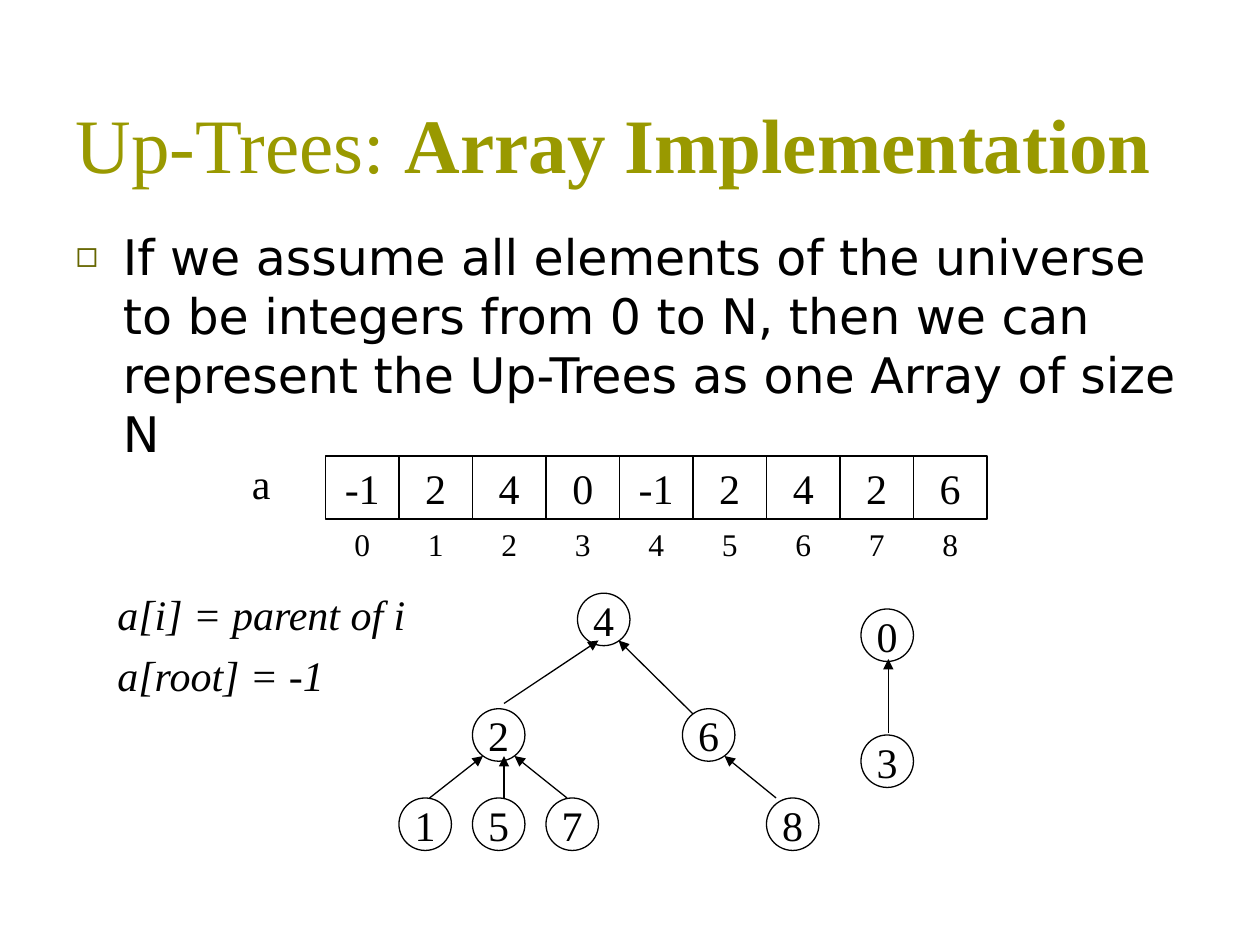
from lxml import etree
from pptx import Presentation
from pptx.dml.color import RGBColor
from pptx.enum.shapes import MSO_CONNECTOR, MSO_SHAPE
from pptx.enum.text import MSO_ANCHOR, MSO_AUTO_SIZE, PP_ALIGN
from pptx.oxml.ns import qn
from pptx.util import Pt

RECTANGLE, OVAL = MSO_SHAPE.RECTANGLE, MSO_SHAPE.OVAL
STRAIGHT = MSO_CONNECTOR.STRAIGHT
TOP, MIDDLE, BOTTOM = MSO_ANCHOR.TOP, MSO_ANCHOR.MIDDLE, MSO_ANCHOR.BOTTOM
LEFT, CENTER = PP_ALIGN.LEFT, PP_ALIGN.CENTER
FIXED = MSO_AUTO_SIZE.NONE

PARENTS = [-1, 2, 4, 0, -1, 2, 4, 2, 6]
CELL_WIDTH, CELL_HEIGHT = 42, 36
ARRAY_LEFT, ARRAY_TOP = 186, 260.6
NODE_SIZE = 30

LARGE_TREE_NODES = {
    4: (330, 339), 2: (270, 405), 6: (390, 405),
    1: (228, 456), 5: (270, 456), 7: (312, 456), 8: (438, 456),
}
LARGE_TREE_LINKS = [
    (245.5, 456, 276, 432), (324, 456, 294, 432), (288, 456, 288, 432),
    (288, 402, 342, 366), (443.5, 456, 414, 432), (396, 408, 353.5, 366),
]
SMALL_TREE_NODES = {3: (492, 420), 0: (492, 348)}
SMALL_TREE_LINKS = [(507.6, 419, 507.6, 376.6)]


def color(value):
    return RGBColor.from_string(value)


class UpTreeSlide:
    serif = "Times New Roman"
    sans = "DejaVu Sans"
    ink = "000000"
    accent = "999900"
    bullet_color = "666600"
    line_width = 0.75

    def __init__(self, slide):
        self.slide = slide

    def place(self, shape, left, top, width, height):
        shape.left, shape.top = Pt(left), Pt(top)
        shape.width, shape.height = Pt(width), Pt(height)

    def format_font(self, run, size, name=serif, hue=ink, italic=False):
        run.font.size = Pt(size)
        run.font.name = name
        run.font.color.rgb = color(hue)
        run.font.italic = italic

    def set_text(self, shape, text, size, align=LEFT, anchor=TOP, wrap=True, italic=False):
        frame = shape.text_frame
        frame.text = text
        frame.word_wrap = wrap
        frame.auto_size = FIXED
        frame.vertical_anchor = anchor
        for paragraph in frame.paragraphs:
            paragraph.alignment = align
            for run in paragraph.runs:
                self.format_font(run, size, italic=italic)
        return frame

    def indent(self, paragraph, hanging):
        properties = paragraph._p.get_or_add_pPr()
        properties.set("marL", str(Pt(hanging)))
        properties.set("indent", str(Pt(-hanging)))
        return properties

    def title(self, plain, strong):
        title = self.slide.shapes.title
        self.place(title, 36, 21.6, 648, 90)
        frame = self.set_text(title, plain, 44, anchor=BOTTOM)
        emphasis = frame.paragraphs[0].add_run()
        emphasis.text = strong
        emphasis.font.bold = True
        for run in frame.paragraphs[0].runs:
            self.format_font(run, 44, hue=self.accent)

    def body(self, text):
        body = self.slide.placeholders[1]
        self.place(body, 36, 126, 648, 356.4)
        paragraph = self.set_text(body, text, 28).paragraphs[0]
        self.format_font(paragraph.runs[0], 28, name=self.sans)
        paragraph.space_before = Pt(7)
        properties = self.indent(paragraph, 27)
        bullet_color = etree.SubElement(properties, qn("a:buClr"))
        etree.SubElement(bullet_color, qn("a:srgbClr"), val=self.bullet_color)
        etree.SubElement(properties, qn("a:buSzPct"), val="75000")
        etree.SubElement(properties, qn("a:buChar"), char="◻")

    def label(self, text, left, top, width, height, size, **style):
        box = self.slide.shapes.add_textbox(Pt(left), Pt(top), Pt(width), Pt(height))
        return self.set_text(box, text, size, **style)

    def rules(self, text, left, top, width, height):
        frame = self.label(text, left, top, width, height, 24, italic=True)
        for paragraph in frame.paragraphs:
            paragraph.space_before = Pt(6)
            self.indent(paragraph, 27)

    def outline(self, shapes, kind, text, left, top, width, height, **style):
        shape = shapes.add_shape(kind, Pt(left), Pt(top), Pt(width), Pt(height))
        shape.shadow.inherit = False
        shape.fill.background()
        shape.line.color.rgb = color(self.ink)
        shape.line.width = Pt(self.line_width)
        self.set_text(shape, text, 24, align=CENTER, **style)

    def arrow(self, shapes, *ends):
        link = shapes.add_connector(STRAIGHT, *map(Pt, ends))
        link.line.color.rgb = color(self.ink)
        link.line.width = Pt(self.line_width)
        etree.SubElement(link.line._get_or_add_ln(), qn("a:tailEnd"), type="triangle")
        etree.SubElement(link._element.spPr, qn("a:effectLst"))

    def array(self, values):
        lefts = [ARRAY_LEFT + index * CELL_WIDTH for index in range(len(values))]
        for left, value in zip(lefts, values):
            self.outline(self.slide.shapes, RECTANGLE, str(value),
                         left, ARRAY_TOP, CELL_WIDTH, CELL_HEIGHT)
        for index, left in enumerate(lefts):
            self.label(str(index), left, ARRAY_TOP + CELL_HEIGHT,
                       CELL_WIDTH, 29, 18, align=CENTER)

    def tree(self, nodes, links):
        shapes = self.slide.shapes.add_group_shape().shapes
        for element, (left, top) in nodes.items():
            self.outline(shapes, OVAL, str(element), left, top,
                         NODE_SIZE, NODE_SIZE, anchor=MIDDLE, wrap=False)
        for ends in links:
            self.arrow(shapes, *ends)


def main():
    presentation = Presentation()
    presentation.slide_width, presentation.slide_height = Pt(720), Pt(540)
    page = UpTreeSlide(presentation.slides.add_slide(presentation.slide_layouts[1]))
    page.title("Up-Trees: ", "Array Implementation")
    page.body("If we assume all elements of the universe to be integers from 0 to N, "
              "then we can represent the Up-Trees as one Array of size N")
    page.array(PARENTS)
    page.rules("a[i] = parent of i\na[root] = -1", 60, 333, 186, 81)
    page.label("a", 136.8, 258, 25, 36, 24, wrap=False)
    page.tree(LARGE_TREE_NODES, LARGE_TREE_LINKS)
    page.tree(SMALL_TREE_NODES, SMALL_TREE_LINKS)
    presentation.save("out.pptx")


if __name__ == "__main__":
    main()
